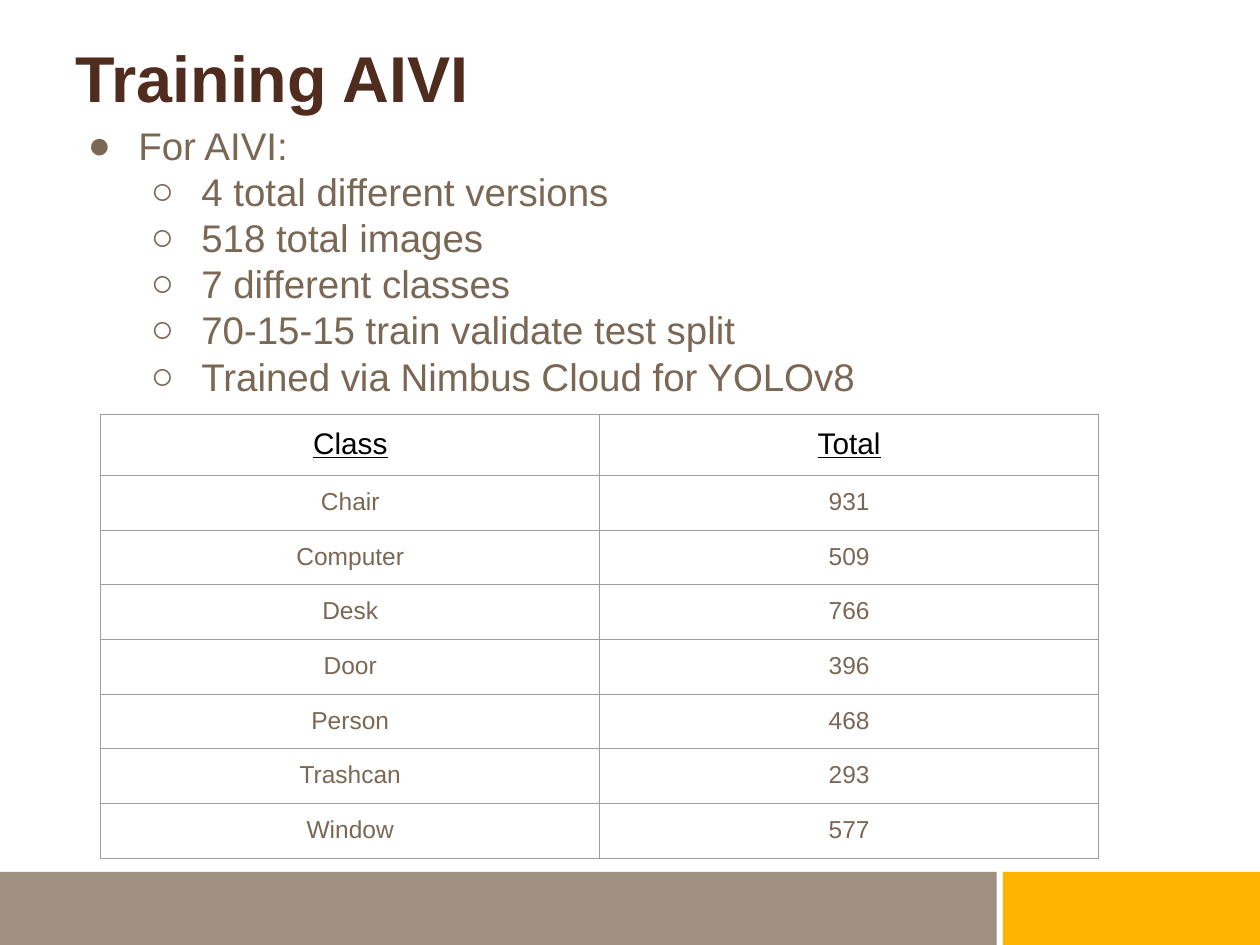
from lxml import etree
from pptx import Presentation
from pptx.dml.color import RGBColor
from pptx.enum.shapes import MSO_SHAPE
from pptx.enum.text import MSO_ANCHOR, MSO_AUTO_SIZE, PP_ALIGN
from pptx.oxml.ns import qn
from pptx.util import Inches, Pt

RECT = MSO_SHAPE.RECTANGLE
TOP, MIDDLE = MSO_ANCHOR.TOP, MSO_ANCHOR.MIDDLE
LEFT, CENTER = PP_ALIGN.LEFT, PP_ALIGN.CENTER
NO_AUTOFIT = MSO_AUTO_SIZE.NONE

FONT = "Arial"
BROWN, TAUPE, STONE, GOLD = "4F2C1D", "7A6855", "9F9081", "FFB500"
BLACK, GRID, WHITE = "000000", "9E9E9E", "FFFFFF"

BULLETS = [
    (0, "For AIVI:"),
    (1, "4 total different versions"),
    (1, "518 total images"),
    (1, "7 different classes"),
    (1, "70-15-15 train validate test split"),
    (1, "Trained via Nimbus Cloud for YOLOv8"),
]
CLASS_TOTALS = [
    ("Class", "Total"),
    ("Chair", 931),
    ("Computer", 509),
    ("Desk", 766),
    ("Door", 396),
    ("Person", 468),
    ("Trashcan", 293),
    ("Window", 577),
]


def rgb(color):
    return RGBColor.from_string(color)


def style_runs(p, size, color, bold=False, underline=False):
    for r in p.runs:
        r.font.name = FONT
        r.font.size = Pt(size)
        r.font.bold = bold
        r.font.underline = underline
        r.font.color.rgb = rgb(color)


def set_bullet(p, level, char, color):
    p.level = level
    pPr = p._p.get_or_add_pPr()
    pPr.set("marL", str(Inches(0.5 * (level + 1))))
    pPr.set("indent", str(Inches(-0.4)))
    buClr = etree.SubElement(pPr, qn("a:buClr"))
    etree.SubElement(buClr, qn("a:srgbClr"), val=color)
    etree.SubElement(pPr, qn("a:buFont"), typeface=FONT)
    etree.SubElement(pPr, qn("a:buChar"), char=char)


def set_borders(cell, color, width):
    tcPr = cell._tc.get_or_add_tcPr()
    for i, side in enumerate(("lnL", "lnR", "lnT", "lnB")):
        ln = etree.Element(qn("a:" + side), w=str(Pt(width)))
        fill = etree.SubElement(ln, qn("a:solidFill"))
        etree.SubElement(fill, qn("a:srgbClr"), val=color)
        tcPr.insert(i, ln)


def add_footer_bars(slide, left, top, width, height):
    gold_width, gap = 2.04, 0.05
    stone_width = width - gold_width - gap
    bars = [(left, stone_width, STONE),
            (left + stone_width + gap, gold_width, GOLD)]
    for x, w, color in bars:
        bar = slide.shapes.add_shape(
            RECT, Inches(x), Inches(top), Inches(w), Inches(height))
        bar.shadow.inherit = False
        bar.fill.solid()
        bar.fill.fore_color.rgb = rgb(color)
        bar.line.fill.background()


def place_title(slide, text, left, top, width, height):
    title = slide.shapes.title
    title.left, title.top = Inches(left), Inches(top)
    title.width, title.height = Inches(width), Inches(height)
    tf = title.text_frame
    tf.text = text
    tf.auto_size = NO_AUTOFIT
    tf.vertical_anchor = TOP
    p = tf.paragraphs[0]
    p.alignment = LEFT
    p.line_spacing = 0.9
    style_runs(p, 37, BROWN, bold=True)


def add_bullets(slide, items, left, top, width, height):
    box = slide.shapes.add_textbox(
        Inches(left), Inches(top), Inches(width), Inches(height))
    tf = box.text_frame
    tf.word_wrap = True
    tf.vertical_anchor = MIDDLE
    for i, (level, text) in enumerate(items):
        p = tf.add_paragraph() if i else tf.paragraphs[0]
        p.text = text
        set_bullet(p, level, "●○"[level], TAUPE)
        style_runs(p, 22, TAUPE)


def add_class_table(slide, rows, left, top, width, height):
    table = slide.shapes.add_table(
        len(rows), len(rows[0]), Inches(left), Inches(top),
        Inches(width), Inches(height)).table
    table.first_row = table.horz_banding = False
    header_height = 0.46
    for i, row in enumerate(rows):
        header = i == 0
        table.rows[i].height = Inches(
            header_height if header
            else (height - header_height) / (len(rows) - 1))
        for j, value in enumerate(row):
            cell = table.cell(i, j)
            cell.margin_left = cell.margin_right = Inches(0.1)
            cell.margin_top = cell.margin_bottom = Inches(0.1)
            cell.fill.background()
            set_borders(cell, GRID, 0.75)
            cell.text = str(value)
            p = cell.text_frame.paragraphs[0]
            p.alignment = CENTER
            style_runs(p, 17 if header else 14,
                       BLACK if header else TAUPE, underline=header)


def build_training_slide(prs):
    slide = prs.slides.add_slide(prs.slide_layouts[5])
    slide.background.fill.solid()
    slide.background.fill.fore_color.rgb = rgb(WHITE)
    add_footer_bars(slide, -0.02, 6.92, 10.02, 0.58)
    place_title(slide, "Training AIVI", 0.5, 0.32, 9, 0.94)
    add_bullets(slide, BULLETS, 0.5, 0.92, 9.04, 2.29)
    add_class_table(slide, CLASS_TOTALS, 0.8, 3.29, 7.92, 3.39)


def main():
    prs = Presentation()
    prs.slide_width, prs.slide_height = Inches(10), Inches(7.5)
    build_training_slide(prs)
    prs.save("out.pptx")


if __name__ == "__main__":
    main()
